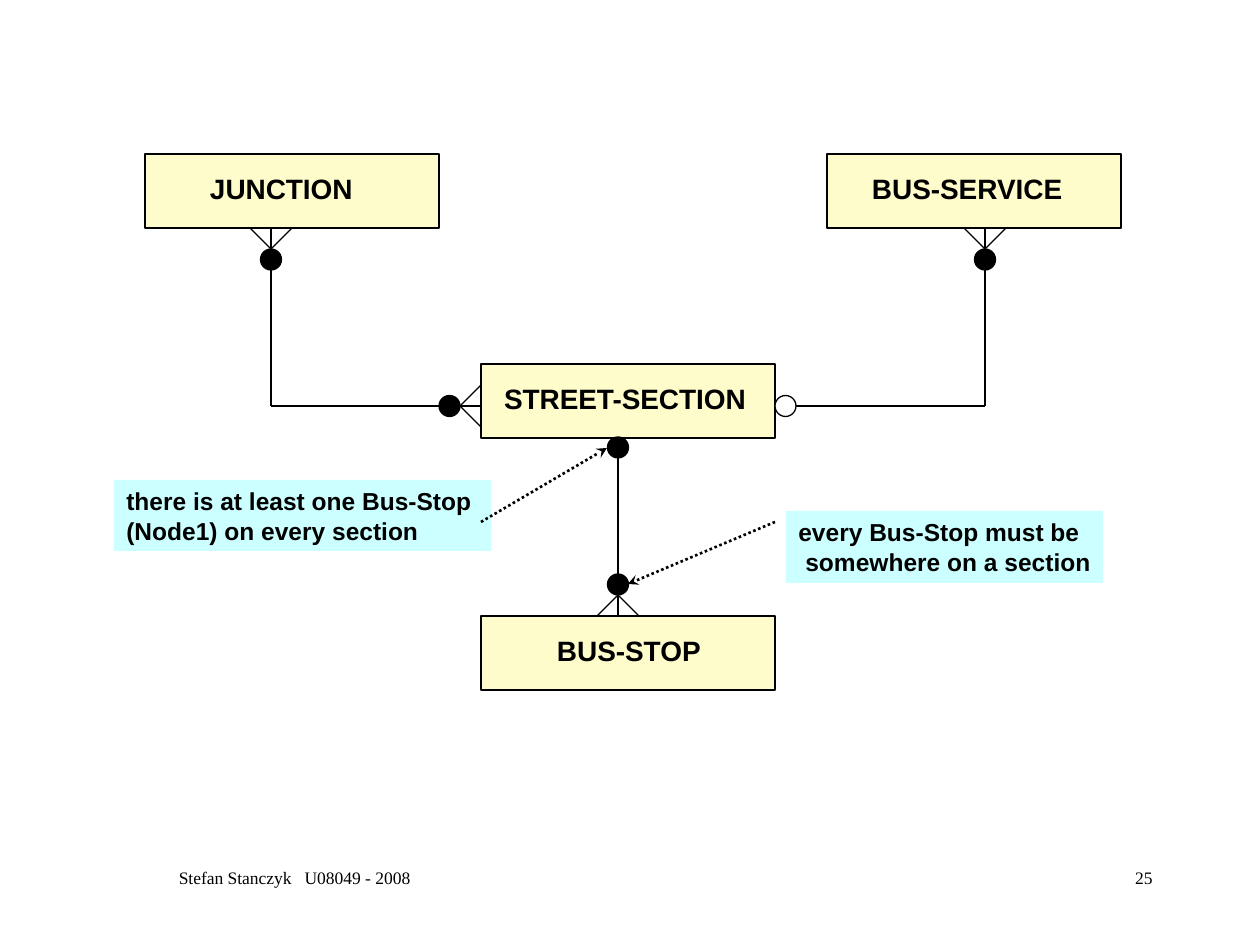
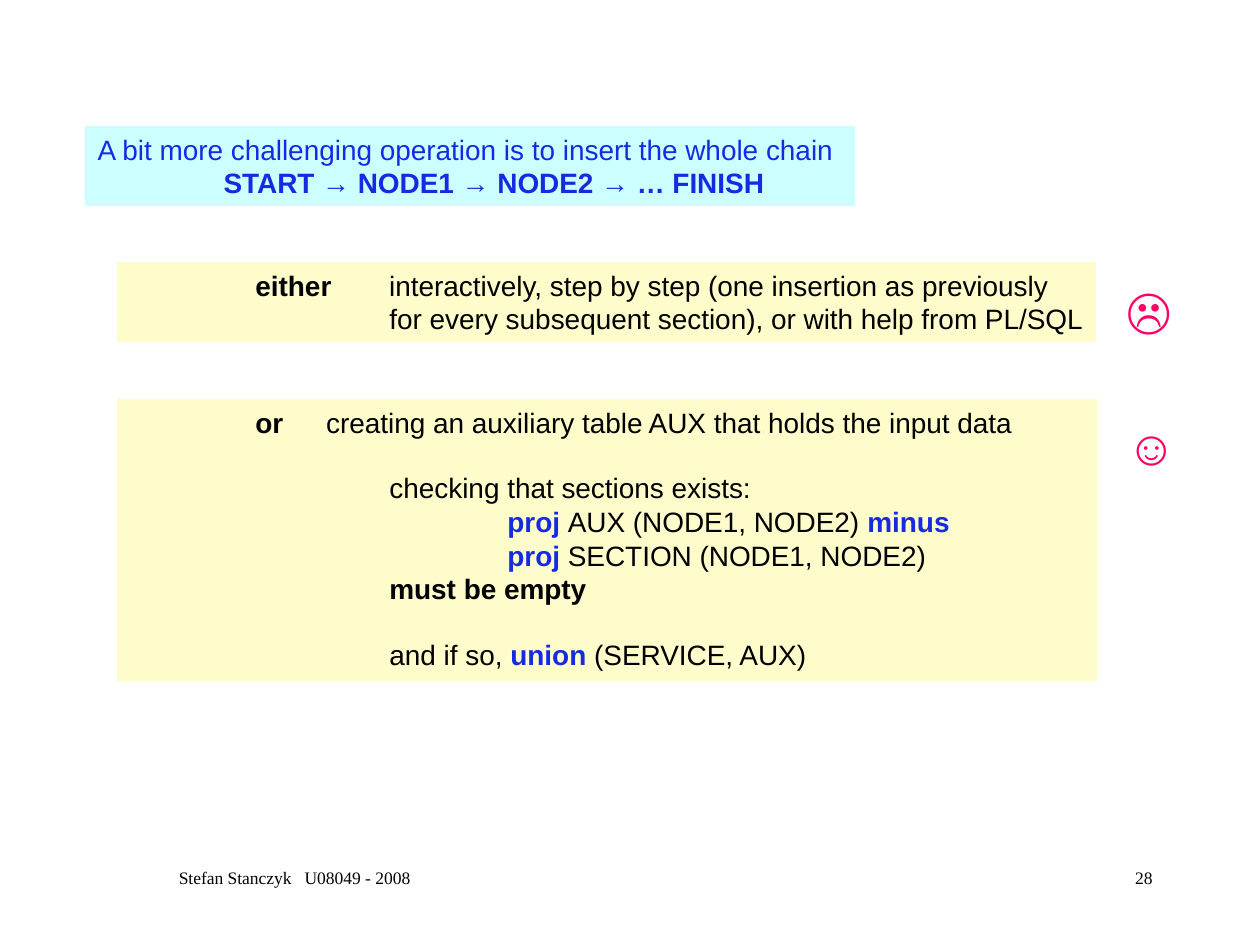
from dataclasses import dataclass

from lxml import etree
from pptx import Presentation
from pptx import util as u
from pptx.dml.color import RGBColor
from pptx.enum import dml, shapes, text
from pptx.oxml.ns import qn

PX = u.Inches(1) / 126
BLANK, TITLE_ONLY = 6, 5


@dataclass(frozen=True)
class Theme:
    ink: str = "000000"
    paper: str = "FFFFFF"
    panel: str = "FFFCCC"
    note: str = "CCFFFF"
    accent: str = "162AE1"
    mood: str = "FF0066"
    sans: str = "Arial"
    serif: str = "Times New Roman"
    body: float = 16
    small: float = 14
    footer: float = 10
    icon: float = 28
    blank_line: float = 18.4
    thin: float = 0.75
    thick: float = 1.5


THEME = Theme()

# Entity-relationship diagram
ENTITY_SIZE = (294, 74)
ENTITIES = [  # name, left, top, text inset
    ("JUNCTION", 145, 154, 65),
    ("BUS-SERVICE", 827, 154, 45),
    ("STREET-SECTION", 481, 364, 23),
    ("BUS-STOP", 481, 616, 76),
]
LINKS = [
    [(271, 228), (271, 406), (481, 406)],
    [(985, 228), (985, 406), (775, 406)],
    [(618, 616), (618, 437)],
]
MARK = 21
LINK_ENDS = [  # point on the entity, outward direction, many, mandatory
    ((271, 228), (0, 1), True, True),
    ((481, 406), (-1, 0), True, True),
    ((985, 228), (0, 1), True, True),
    ((775, 406), (1, 0), False, False),
    ((618, 616), (0, -1), True, True),
    ((618, 437), (0, 1), False, True),
]
# A line of text is (indent, blank line before, [(words, style), ...])
NOTES = [  # box, lines, arrow start, arrow end
    ((114, 480, 377, 71),
     [(0, False, [("there is at least one Bus-Stop", "bold")]),
      (0, False, [("(Node1) on every section", "bold")])],
     (481, 522), (607, 448)),
    ((786, 511, 317, 72),
     [(0, False, [("every Bus-Stop must be", "bold")]),
      (7, False, [("somewhere on a section", "bold")])],
     (775, 522), (628, 584)),
]

# Inserting a chain
TAB = 126
TEXT = 2 * TAB + 8
CHAIN_BOX = (85, 126, 770, 80)
CHAIN = [
    (0, False, [("A bit more challenging operation is to insert the whole chain", "accent")]),
    (TAB, False, [("START → NODE1 → NODE2 → … FINISH", "key")]),
]
OPTIONS = [  # box, icon, icon box, lines
    ((117, 262, 979, 80), "☹", (1114, 273, 67, 72), [
        (TAB, False, [("either\t", "bold"),
                      (" interactively, step by step (one insertion as previously", "")]),
        (TEXT, False, [("for every subsequent section), or with help from PL/SQL", "")]),
    ]),
    ((117, 399, 980, 282), "☺", (1114, 410, 67, 72), [
        (TAB, False, [("or\t", "bold"),
                      (" creating an auxiliary table AUX that holds the input data", "")]),
        (TEXT, True, [("checking that sections exists:", "")]),
        (3 * TAB, False, [("proj ", "key"), ("AUX (NODE1, NODE2) ", ""), ("minus", "key")]),
        (3 * TAB, False, [("proj ", "key"), ("SECTION (NODE1, NODE2)", "")]),
        (TEXT, False, [("must be empty", "bold")]),
        (TEXT, True, [("and if so, ", ""), ("union ", "key"), ("(SERVICE, AUX)", "")]),
    ]),
]

FOOTER = "Stefan Stanczyk   U08049 - 2008"
FOOTER_BOX = (95, 861, 399, 63)
NUMBER_BOX = (903, 861, 262, 63)


def px(*lengths):
    return [u.Emu(round(length * PX)) for length in lengths]


def rgb(value):
    return RGBColor.from_string(value)


def style_font(span, size, color, bold=False, name=THEME.sans):
    span.font.name = name
    span.font.size = u.Pt(size)
    span.font.bold = bold
    span.font.color.rgb = rgb(color)


def set_margins(frame, left=12.6, top=6.3, right=0, bottom=6.3):
    frame.margin_left, frame.margin_top, frame.margin_right, frame.margin_bottom = px(
        left, top, right, bottom)
    frame.word_wrap = True


def add_shape(page, kind, box, fill, outline=None):
    shape = page.shapes.add_shape(kind, *px(*box))
    shape.shadow.inherit = False
    shape.fill.solid()
    shape.fill.fore_color.rgb = rgb(fill)
    if outline:
        shape.line.color.rgb = rgb(outline)
        shape.line.width = u.Pt(THEME.thin)
    else:
        shape.line.fill.background()
    return shape


def write_lines(shape, lines, size):
    """Fill a shape with indented, left-aligned lines of styled spans."""
    frame = shape.text_frame
    set_margins(frame)
    frame.auto_size = text.MSO_AUTO_SIZE.NONE
    frame.vertical_anchor = text.MSO_ANCHOR.TOP
    for index, (indent, gap, spans) in enumerate(lines):
        para = frame.paragraphs[0] if index == 0 else frame.add_paragraph()
        para.alignment = text.PP_ALIGN.LEFT
        para.space_before = u.Pt(THEME.blank_line if gap else 0)
        properties = para._p.get_or_add_pPr()
        properties.set("marL", str(px(indent)[0]))
        properties.set("indent", "0")
        for words, style in spans:
            span = para.add_run()
            span.text = words
            color = THEME.accent if style in ("key", "accent") else THEME.ink
            style_font(span, size, color, style in ("key", "bold"))


def add_label(page, box, words, size, color, align, bold=False, name=THEME.sans):
    label = page.shapes.add_textbox(*px(*box))
    set_margins(label.text_frame, right=12.6)
    label.text_frame.text = words
    para = label.text_frame.paragraphs[0]
    para.alignment = align
    style_font(para.runs[0], size, color, bold, name)


def add_line(page, start, end, width=THEME.thin):
    line = page.shapes.add_connector(shapes.MSO_CONNECTOR.STRAIGHT, *px(*start, *end))
    line.line.color.rgb = rgb(THEME.ink)
    line.line.width = u.Pt(width)
    etree.SubElement(line._element.spPr, qn("a:effectLst"))
    return line


def add_dotted_arrow(page, start, end):
    arrow = add_line(page, start, end, THEME.thick)
    arrow.line.dash_style = dml.MSO_LINE.ROUND_DOT
    etree.SubElement(arrow.line._get_or_add_ln(), qn("a:tailEnd"), type="stealth")


def add_entity(page, name, left, top, inset):
    box = add_shape(page, shapes.MSO_SHAPE.RECTANGLE, (left, top, *ENTITY_SIZE),
                    THEME.panel, THEME.ink)
    write_lines(box, [(0, False, [(name, "bold")])], THEME.body)
    set_margins(box.text_frame, left=inset, top=0, bottom=5)
    box.text_frame.vertical_anchor = text.MSO_ANCHOR.MIDDLE


def add_link_end(page, point, direction, many, mandatory):
    """Draw a crow's foot (if many) and the dot that follows it."""
    (x, y), (dx, dy) = point, direction
    reach = MARK if many else 0
    if many:
        for side in (-MARK, MARK):
            add_line(page, (x + reach * dx, y + reach * dy), (x + side * dy, y + side * dx))
    center = reach + MARK / 2
    box = (x + center * dx - MARK / 2, y + center * dy - MARK / 2, MARK, MARK)
    add_shape(page, shapes.MSO_SHAPE.OVAL, box,
              THEME.ink if mandatory else THEME.paper, THEME.ink)


def add_footer(page, number):
    for box, words, align in ((FOOTER_BOX, FOOTER, text.PP_ALIGN.CENTER),
                              (NUMBER_BOX, str(number), text.PP_ALIGN.RIGHT)):
        add_label(page, box, words, THEME.footer, THEME.ink, align, name=THEME.serif)


def build_diagram(deck):
    page = deck.slides.add_slide(deck.slide_layouts[BLANK])
    for entity in ENTITIES:
        add_entity(page, *entity)
    for points in LINKS:
        for start, end in zip(points, points[1:]):
            add_line(page, start, end)
    for link_end in LINK_ENDS:
        add_link_end(page, *link_end)
    for box, lines, start, end in NOTES:
        note = add_shape(page, shapes.MSO_SHAPE.RECTANGLE, box, THEME.note)
        write_lines(note, lines, THEME.small)
        add_dotted_arrow(page, start, end)
    add_footer(page, 25)


def build_chain(deck):
    page = deck.slides.add_slide(deck.slide_layouts[TITLE_ONLY])
    title = page.shapes.title
    title.left, title.top, title.width, title.height = px(*CHAIN_BOX)
    title.fill.solid()
    title.fill.fore_color.rgb = rgb(THEME.note)
    write_lines(title, CHAIN, THEME.body)
    for box, icon, icon_box, lines in OPTIONS:
        panel = add_shape(page, shapes.MSO_SHAPE.RECTANGLE, box, THEME.panel)
        write_lines(panel, lines, THEME.body)
        add_label(page, icon_box, icon, THEME.icon, THEME.mood, text.PP_ALIGN.LEFT, bold=True)
    add_footer(page, 28)


def main():
    deck = Presentation()
    deck.slide_width, deck.slide_height = px(1260, 945)
    build_diagram(deck)
    build_chain(deck)
    deck.save("out.pptx")


if __name__ == "__main__":
    main()
